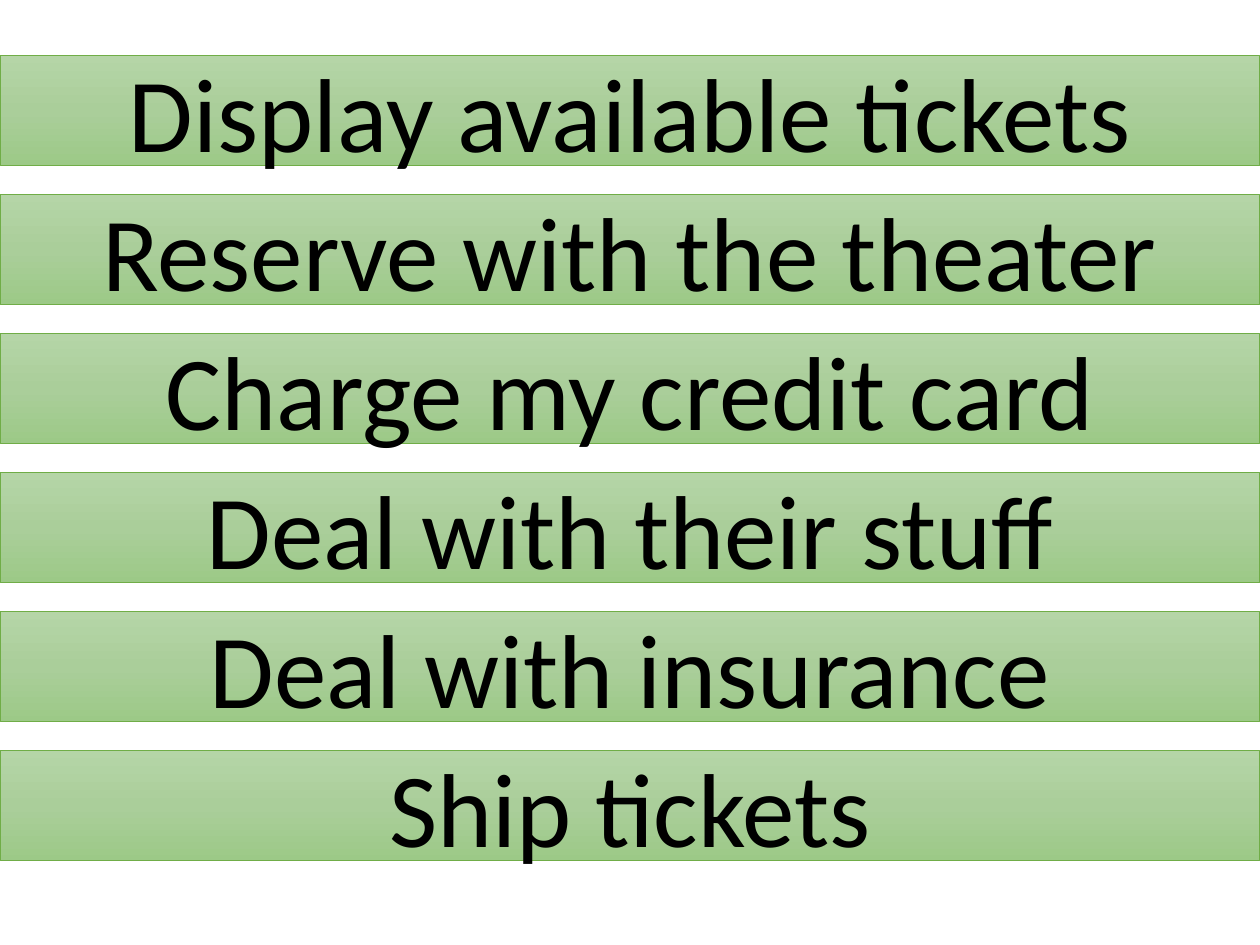
from copy import deepcopy

from pptx import Presentation
from pptx.dml.color import RGBColor as RGB
from pptx.enum.shapes import MSO_SHAPE as SHAPE
from pptx.enum.text import MSO_ANCHOR as ANCHOR, PP_ALIGN as ALIGN
from pptx.oxml.ns import qn
from pptx.util import Pt

EMU_PER_PX = 914400 // 126
WIDTH, HEIGHT = 1260, 945
FIRST_TOP, BAR_HEIGHT, PITCH = 55, 111, 139

COLORS = {
    "top": "B5D5A7",
    "middle": "AACE9A",
    "bottom": "9CC987",
    "border": "70AD47",
    "text": "000000",
}

STEPS = [
    "Display available tickets",
    "Reserve with the theater",
    "Charge my credit card",
    "Deal with their stuff",
    "Deal with insurance",
    "Ship tickets",
]


def px(length):
    return length * EMU_PER_PX


def color(name):
    return RGB.from_string(COLORS[name])


class StepSlide:
    font_name = "Calibri"
    font_size = Pt(60)
    border_width = Pt(0.5)

    def __init__(self, deck):
        self.slide = deck.slides.add_slide(deck.slide_layouts[6])

    def shade(self, shape):
        """Fill a shape with the three-stop vertical gradient."""
        shape.fill.gradient()
        shape.fill.gradient_angle = 270
        stop_list = shape._element.spPr.find(".//" + qn("a:gsLst"))
        stop_list.insert(1, deepcopy(stop_list[0]))
        stops = zip(shape.fill.gradient_stops, ("top", "middle", "bottom"), (0, 0.5, 1))
        for stop, name, position in stops:
            stop.color.rgb = color(name)
            stop.position = position

    def bar(self, label, top):
        bar = self.slide.shapes.add_shape(
            SHAPE.RECTANGLE, 0, px(top), px(WIDTH), px(BAR_HEIGHT))
        bar.shadow.inherit = False
        self.shade(bar)
        bar.line.color.rgb = color("border")
        bar.line.width = self.border_width

        # Centred label
        bar.text_frame.vertical_anchor = ANCHOR.MIDDLE
        line = bar.text_frame.paragraphs[0]
        line.text = label
        line.alignment = ALIGN.CENTER
        line.font.name = self.font_name
        line.font.size = self.font_size
        line.font.color.rgb = color("text")


def main():
    deck = Presentation()
    deck.slide_width, deck.slide_height = px(WIDTH), px(HEIGHT)

    # One full-width bar per step, evenly spaced
    steps = StepSlide(deck)
    for row, label in enumerate(STEPS):
        steps.bar(label, FIRST_TOP + row * PITCH)

    deck.save("out.pptx")


if __name__ == "__main__":
    main()
